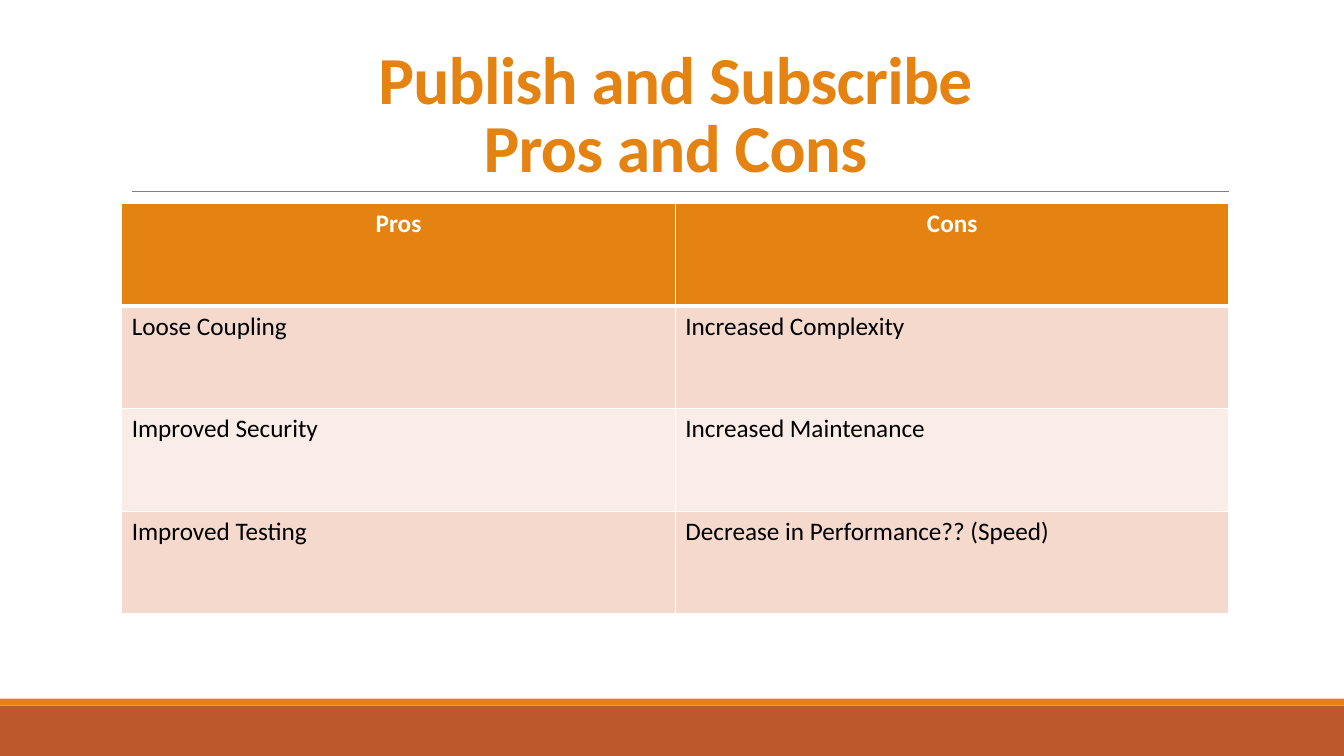
from pptx import Presentation
from pptx.dml.color import RGBColor
from pptx.enum.shapes import MSO_CONNECTOR as Link, MSO_SHAPE as Kind
from pptx.enum.text import MSO_ANCHOR as Anchor, MSO_AUTO_SIZE as Fit, PP_ALIGN as Align
from pptx.oxml import parse_xml
from pptx.oxml.ns import nsdecls
from pptx.util import Pt

WIDE, HIGH = 960, 540
ORANGE, RUST, GREY, WHITE, BLACK = "E48312", "BD582C", "808080", "FFFFFF", "000000"
BANDS = "F5D9CC", "FAEDE7"
ROWS = [
    ("Pros", "Cons"),
    ("Loose Coupling", "Increased Complexity"),
    ("Improved Security", "Increased Maintenance"),
    ("Improved Testing", "Decrease in Performance?? (Speed)"),
]


def color(code):
    return RGBColor.from_string(code)


def apply(item, style):
    for name, value in style.items():
        setattr(item, name, value)


def place(item, box):
    apply(item, dict(zip(("left", "top", "width", "height"), map(Pt, box))))


def write(frame, text, size, code, bold, align):
    frame.text = text
    para = frame.paragraphs[0]
    para.alignment = align
    for run in para.runs:
        apply(run.font, {"name": "Calibri", "size": Pt(size), "bold": bold})
        run.font.color.rgb = color(code)
    return para


def add_foot(slide, box):
    """Draw a rust band with a thin orange strip along its top."""
    left, top, width, height = box
    strip = 5
    for y, tall, code in ((top + strip, height - strip, RUST), (top, strip, ORANGE)):
        bar = slide.shapes.add_shape(Kind.RECTANGLE, *map(Pt, (left, y, width, tall)))
        bar.shadow.inherit = False
        bar.fill.solid()
        bar.fill.fore_color.rgb = color(code)
        bar.line.fill.background()


def add_head(slide, box):
    """Set the title, with a rule under its lower edge."""
    left, top, width, height = box
    base = top + height
    ends = left + 8, base, left + width - 0.5, base
    rule = slide.shapes.add_connector(Link.STRAIGHT, *map(Pt, ends))
    rule.line.width = Pt(0.5)
    rule.line.color.rgb = color(GREY)
    rule._element.spPr.append(parse_xml(f"<a:effectLst {nsdecls('a')}/>"))

    title = slide.shapes.title
    place(title, box)
    frame = title.text_frame
    apply(frame, {"vertical_anchor": Anchor.BOTTOM, "word_wrap": True,
                  "auto_size": Fit.NONE})
    para = write(frame, "Publish and Subscribe\vPros and Cons",
                 48, ORANGE, True, Align.CENTER)
    para.line_spacing = 0.85
    for run in para.runs:
        run.font._element.set("spc", "-50")


def edge(cell, sides):
    """Give the cell white borders, with widths in points by side."""
    props = cell._tc.get_or_add_tcPr()
    for side, width in sides.items():
        props.append(parse_xml(
            f'<a:ln{side} {nsdecls("a")} w="{Pt(width)}"><a:solidFill>'
            f'<a:srgbClr val="{WHITE}"/></a:solidFill></a:ln{side}>'))


def add_grid(slide, box):
    count = len(ROWS)
    table = slide.shapes.add_table(count, len(ROWS[0]), *map(Pt, box)).table
    for row in table.rows:
        row.height = Pt(box[3] / count)
    for r, texts in enumerate(ROWS):
        head = r == 0
        for c, text in enumerate(texts):
            cell = table.cell(r, c)
            edge(cell, {"L": 1, "R": 1, "T": 3 if r == 1 else 1, "B": 3 if head else 1})
            cell.fill.solid()
            cell.fill.fore_color.rgb = color(ORANGE if head else BANDS[(r - 1) % 2])
            write(cell.text_frame, text, 18, WHITE if head else BLACK, head,
                  Align.CENTER if head else Align.LEFT)


def main():
    deck = Presentation()
    apply(deck, {"slide_width": Pt(WIDE), "slide_height": Pt(HIGH)})
    slide = deck.slides.add_slide(deck.slide_layouts[5])
    add_foot(slide, (0, 499, WIDE, 41))
    add_head(slide, (86.4, 22.5, 792, 114.3))
    add_grid(slide, (86.9, 145.6, 791, 292.8))
    deck.save("out.pptx")


if __name__ == "__main__":
    main()
